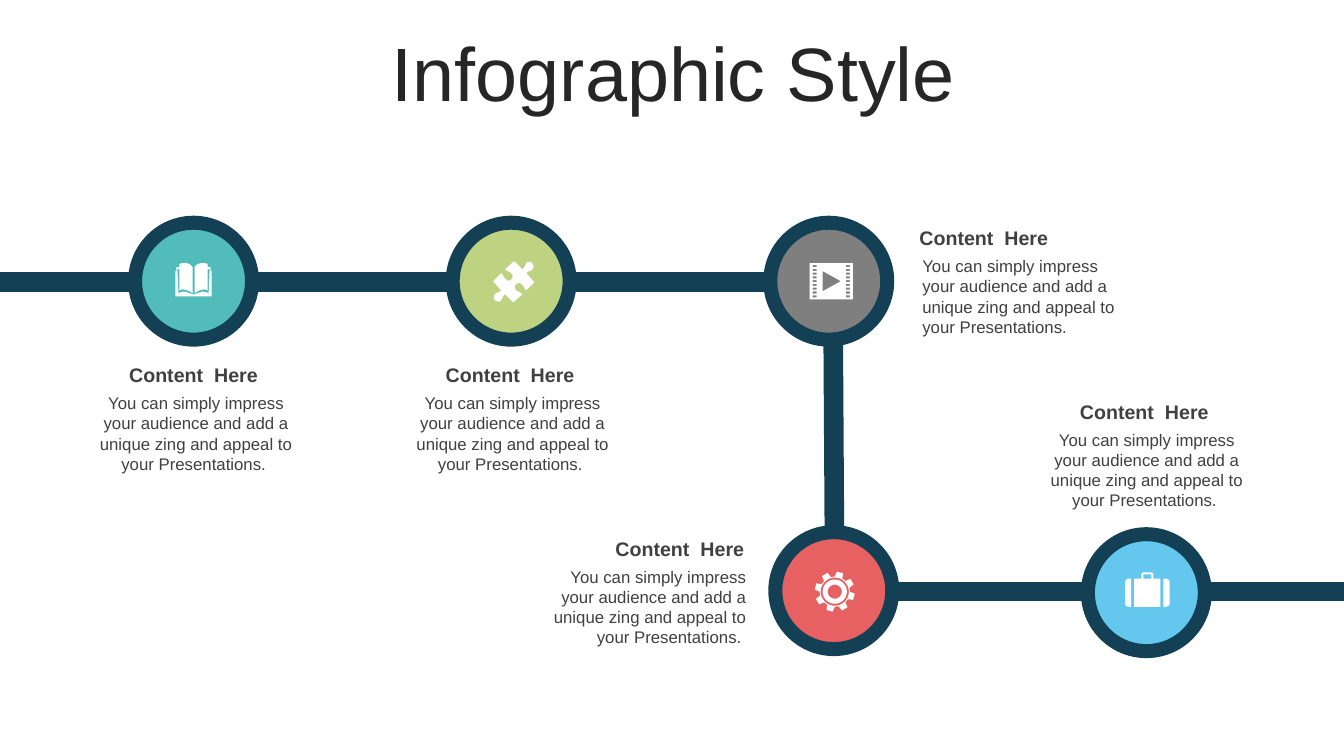
from dataclasses import dataclass
from math import cos, radians, sin

from lxml.etree import SubElement
from pptx import Presentation
from pptx.dml.color import RGBColor
from pptx.enum.shapes import MSO_CONNECTOR, MSO_SHAPE
from pptx.enum.text import MSO_ANCHOR as Anchor, MSO_AUTO_SIZE as AutoSize, PP_ALIGN as Align
from pptx.oxml.ns import qn
from pptx.util import Inches, Pt

Point = tuple[float, float]
Contour = list[Point]

COLORS = {
    "navy": "134055", "teal": "51BCB9", "lime": "BED381", "gray": "7F7F7F",
    "red": "E86162", "sky": "63C7EE", "white": "FFFFFF",
    "title": "262626", "text": "404040",
}
HEADING = "Content  Here"
DETAIL = ("You can simply impress your audience and add a unique zing "
          "and appeal to your Presentations. ")
TITLE_FONT = {"name": "Arial", "size": Pt(54), "bold": False}
HEADING_FONT = {"name": "Arial", "size": Pt(14), "bold": True}
DETAIL_FONT = {"name": "Arial", "size": Pt(12), "bold": False}
DISC_SIZE = 1.16
ROUTE = [((0, 2.8), (8.27, 2.8)), ((8.26, 2.7), (8.28, 5.97)), ((8.26, 5.87), (13.33, 5.87))]


@dataclass
class Stop:
    color: str
    disc: Point
    caption: Point
    align: Align
    icon: list[Contour]


def rgb(name: str) -> RGBColor:
    return RGBColor.from_string(COLORS[name])


def outline(steps: list[tuple[float, ...]]) -> Contour:
    """Turn steps of two numbers (line) or six (cubic curve) into points."""
    points: Contour = []
    for step in steps:
        if len(step) == 2:
            points.append(step)
            continue
        knots = [points[-1], step[0:2], step[2:4], step[4:6]]
        for t in (k / 8 for k in range(1, 9)):
            weights = ((1 - t) ** 3, 3 * t * (1 - t) ** 2, 3 * t * t * (1 - t), t ** 3)
            points.append(tuple(sum(w * knot[axis] for w, knot in zip(weights, knots))
                                for axis in (0, 1)))
    return points


def rectangle(left: float, top: float, right: float, bottom: float) -> Contour:
    return [(left, top), (right, top), (right, bottom), (left, bottom)]


def mirrored(contour: Contour, axis: float) -> Contour:
    return [(2 * axis - x, y) for x, y in contour]


def polar(center: Point, radius: float, degrees: float) -> Point:
    angle = radians(degrees)
    return center[0] + radius * cos(angle), center[1] + radius * sin(angle)


def book_icon() -> list[Contour]:
    page = outline([
        (1.93, 2.92), (1.99, 2.9, 2.01, 2.88, 2.07, 2.91), (2.08, 2.67), (2.06, 2.67),
        (2.06, 2.88), (2.02, 2.86, 1.97, 2.88, 1.93, 2.91), (1.93, 2.65),
        (1.95, 2.62, 1.98, 2.61, 2.01, 2.61), (2.02, 2.61, 2.04, 2.61, 2.06, 2.62),
        (2.06, 2.65), (2.09, 2.65), (2.09, 2.69), (2.1, 2.69), (2.1, 2.94), (1.92, 2.94),
        (1.92, 2.92)])
    return [page, mirrored(page, 1.92)]


def puzzle_icon() -> list[Contour]:
    """One half of the piece, then the same half turned by 180 degrees."""
    half = outline([
        (5.28, 2.61), (5.29, 2.63, 5.3, 2.65, 5.28, 2.67), (5.26, 2.7, 5.24, 2.68, 5.22, 2.71),
        (5.3, 2.8), (5.22, 2.88), (5.19, 2.86, 5.2, 2.83, 5.17, 2.82),
        (5.16, 2.8, 5.13, 2.8, 5.12, 2.82), (5.1, 2.83, 5.1, 2.86, 5.12, 2.88),
        (5.14, 2.9, 5.15, 2.89, 5.18, 2.92), (5.09, 3), (5.01, 2.92),
        (4.98, 2.94, 4.99, 2.95, 4.97, 2.98), (4.95, 3, 4.92, 2.99, 4.91, 2.98)])
    return [half + [(10.19 - x, 5.59 - y) for x, y in half]]


def film_icon() -> list[Contour]:
    holes = [rectangle(left, 2.63 + 0.0375 * row, left + 0.04, 2.65 + 0.0375 * row)
             for left in (8.06, 8.39) for row in range(9)]
    play = [(8.16, 2.69), (8.16, 2.89), (8.34, 2.79)]
    return [rectangle(8.03, 2.61, 8.46, 2.97), play, *holes]


def gear_icon() -> list[Contour]:
    center = (8.28, 5.87)
    profile = [(0.15, -15), (0.2, -9), (0.2, 9), (0.15, 15)]
    teeth = [polar(center, radius, 45 * tooth - 75 + turn)
             for tooth in range(8) for radius, turn in profile]
    rings = [[polar(center, radius, turn) for turn in range(0, 360, 10)]
             for radius in (0.14, 0.12, 0.07)]
    return [teeth, *rings]


def suitcase_icon() -> list[Contour]:
    side = outline([
        (11.54, 5.74), (11.56, 5.74), (11.58, 5.74, 11.6, 5.76, 11.6, 5.77), (11.6, 5.99),
        (11.6, 6.01, 11.58, 6.02, 11.56, 6.02), (11.54, 6.02)])
    body = outline([
        (11.34, 5.68), (11.42, 5.68), (11.43, 5.68, 11.44, 5.69, 11.44, 5.7), (11.44, 5.74),
        (11.51, 5.74), (11.51, 6.02), (11.25, 6.02), (11.25, 5.74), (11.32, 5.74),
        (11.32, 5.7), (11.32, 5.69, 11.33, 5.68, 11.34, 5.68)])
    return [side, mirrored(side, 11.38), body, rectangle(11.34, 5.7, 11.42, 5.74)]


STOPS = [
    Stop("teal", (1.34, 2.21), (0.78, 3.55), Align.CENTER, book_icon()),
    Stop("lime", (4.49, 2.21), (3.92, 3.55), Align.CENTER, puzzle_icon()),
    Stop("gray", (7.64, 2.21), (9.02, 2.19), Align.LEFT, film_icon()),
    Stop("sky", (10.79, 5.3), (10.21, 3.91), Align.CENTER, suitcase_icon()),
    Stop("red", (7.69, 5.28), (5.2, 5.27), Align.RIGHT, gear_icon()),
]


def write(box, text: str, font: dict, color: str, align: Align, anchor: Anchor) -> None:
    frame = box.text_frame
    frame.word_wrap = True
    frame.vertical_anchor = anchor
    para = frame.paragraphs[0]
    para.alignment = align
    span = para.add_run()
    span.text = text
    for name, value in font.items():
        setattr(span.font, name, value)
    span.font.color.rgb = rgb(color)


def draw_title(page) -> None:
    title = page.shapes.title
    place = {"left": 0.35, "top": 0.37, "width": 12.66, "height": 0.79}
    for name, value in place.items():
        setattr(title, name, Inches(value))
    write(title, "Infographic Style", TITLE_FONT, "title", Align.CENTER, Anchor.MIDDLE)
    title.text_frame.auto_size = AutoSize.NONE
    title.text_frame.paragraphs[0].line_spacing = 0.9


def draw_route(page) -> None:
    for start, end in ROUTE:
        line = page.shapes.add_connector(
            MSO_CONNECTOR.STRAIGHT, *(Inches(value) for value in start + end))
        line.line.color.rgb = rgb("navy")
        line.line.width = Pt(14)
        SubElement(line._element.spPr, qn("a:effectLst"))


def draw_disc(page, stop: Stop) -> None:
    size = Inches(DISC_SIZE)
    disc = page.shapes.add_shape(MSO_SHAPE.OVAL, *map(Inches, stop.disc), size, size)
    disc.shadow.inherit = False
    disc.fill.solid()
    disc.fill.fore_color.rgb = rgb(stop.color)
    disc.line.color.rgb = rgb("navy")
    disc.line.width = Pt(10)


def draw_icon(page, contours: list[Contour]) -> None:
    """Draw all contours as one shape, so that inner ones become holes."""
    scaled = [[(Inches(x), Inches(y)) for x, y in contour] for contour in contours]
    builder = page.shapes.build_freeform(*scaled[0][0])
    for index, contour in enumerate(scaled):
        if index:
            builder.move_to(*contour[0])
        builder.add_line_segments(contour[1:], close=True)
    icon = builder.convert_to_shape()
    icon.shadow.inherit = False
    icon.fill.solid()
    icon.fill.fore_color.rgb = rgb("white")
    icon.line.fill.background()


def draw_caption(page, stop: Stop) -> None:
    left, top = stop.caption
    parts = [(HEADING, HEADING_FONT, 0, 0, 2.28, 0.34, Anchor.MIDDLE),
             (DETAIL, DETAIL_FONT, 0.03, 0.3, 2.27, 0.91, Anchor.TOP)]
    for text, font, right, down, width, height, anchor in parts:
        box = page.shapes.add_textbox(
            Inches(left + right), Inches(top + down), Inches(width), Inches(height))
        write(box, text, font, "text", stop.align, anchor)
        box.text_frame.auto_size = AutoSize.SHAPE_TO_FIT_TEXT


def main() -> None:
    deck = Presentation()
    deck.slide_width, deck.slide_height = Inches(13.33), Inches(7.5)
    page = deck.slides.add_slide(deck.slide_layouts[5])
    draw_title(page)
    draw_route(page)
    for stop in STOPS:
        draw_disc(page, stop)
        draw_caption(page, stop)
        draw_icon(page, stop.icon)
    deck.save("out.pptx")


if __name__ == "__main__":
    main()
